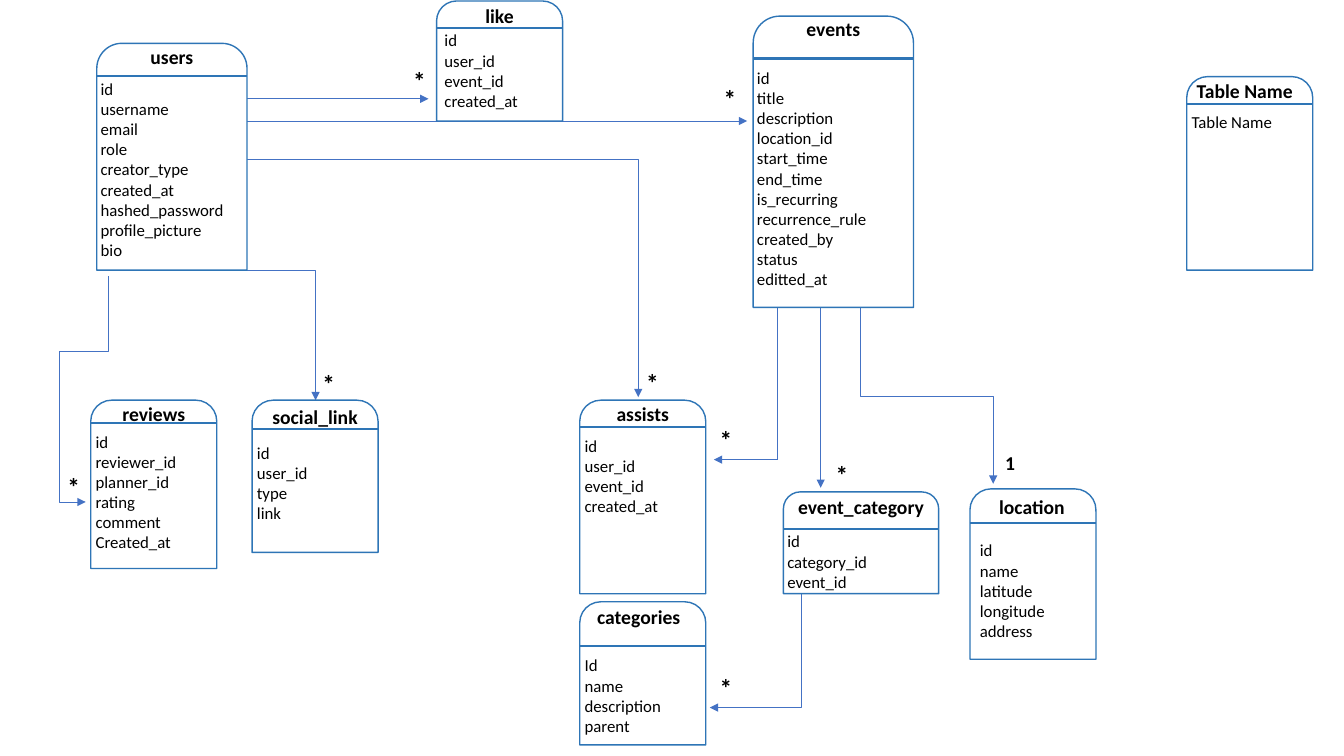
from lxml.etree import SubElement
from pptx import Presentation
from pptx.dml.color import RGBColor
from pptx.enum.shapes import MSO_CONNECTOR, MSO_SHAPE
from pptx.enum.text import MSO_ANCHOR, MSO_AUTO_SIZE, PP_ALIGN
from pptx.oxml.ns import qn
from pptx.util import Emu, Pt

# title, frame, title place, rule y, body place, fields
TABLES = [
    ("users", (96, 43, 149, 225), (96, 40), 75, (90, 73),
     "id username email role creator_type created_at hashed_password profile_picture bio"),
    ("reviews", (90, 397, 125, 167), (90, 394), 420, (85, 423),
     "id reviewer_id planner_id rating comment Created_at"),
    ("social_link", (250, 397, 125, 151), (250, 397), 426, (245, 434),
     "id user_id type link"),
    ("events", (747, 16, 159, 289), (747, 12), 58, (741, 62),
     "id title description location_id start_time end_time is_recurring "
     "recurrence_rule created_by status editted_at"),
    ("assists", (575, 397, 125, 192), (575, 394), 424, (570, 427),
     "id user_id event_id created_at"),
    ("categories", (575, 597, 125, 142), (571, 595), 641, (570, 645),
     "Id name description parent"),
    ("event_category", (777, 488, 154, 101), (777, 486), 525, (771, 522),
     "id category_id event_id"),
    ("location", (962, 485, 125, 169), (961, 486), 519, (962, 531),
     "id name latitude longitude address"),
    ("like", (433, 1, 125, 119), (433, -1), 28, (431, 25),
     "id user_id event_id created_at"),
]
STARS = [(57, 463), (310, 361), (708, 78), (704, 416), (631, 359),
         (819, 451), (704, 662), (400, 60)]


def px(n):
    return Emu(round(n * 9144))


def color(text):
    return RGBColor.from_string(text)


class Diagram:
    font, ink, paper = "Calibri", "000000", "FFFFFF"
    edge, link = "2E75B6", "4472C4"

    def __init__(self, slide):
        self.shapes = slide.shapes

    def text(self, lines, x, y, w, h, size, bold=False, align=PP_ALIGN.LEFT, wrap=True):
        frame = self.shapes.add_textbox(*map(px, (x, y, w, h))).text_frame
        frame.word_wrap = wrap
        frame.auto_size = MSO_AUTO_SIZE.SHAPE_TO_FIT_TEXT
        frame.vertical_anchor = MSO_ANCHOR.TOP
        for i, line in enumerate(lines):
            para = frame.add_paragraph() if i else frame.paragraphs[0]
            para.alignment = align
            run = para.add_run()
            run.text = line
            run.font.name, run.font.size, run.font.bold = self.font, Pt(size), bold
            run.font.color.rgb = color(self.ink)

    def line(self, start, end, tint, width, arrow=False, kind=MSO_CONNECTOR.STRAIGHT):
        wire = self.shapes.add_connector(kind, *map(px, start + end))
        wire.line.color.rgb = color(tint)
        wire.line.width = Pt(width)
        if arrow:
            SubElement(wire.line._get_or_add_ln(), qn("a:tailEnd"), type="triangle")
        SubElement(wire._element.spPr, qn("a:effectLst"))
        return wire

    def arrow(self, start, end):
        self.line(start, end, self.link, 0.5, True)

    def elbow(self, start, end, bends, down=False, adjust=()):
        """Draw a bent arrow; with down it leaves its start vertically."""
        turn = 0
        if down:
            (x1, y1), (x2, y2) = start, end
            side = 1 if x1 > x2 else -1
            turn = 90 if side == 1 else 270
            mid_x, mid_y = (x1 + x2) / 2, (y1 + y2) / 2
            dx, dy = side * (x1 - mid_x), side * (y1 - mid_y)
            start, end = (mid_x + dy, mid_y - dx), (mid_x - dy, mid_y + dx)
        wire = self.line(start, end, self.link, 0.5, True, MSO_CONNECTOR.ELBOW)
        props = wire._element.spPr
        if turn:
            props.find(qn("a:xfrm")).set("rot", str(turn * 60000))
        shape = props.find(qn("a:prstGeom"))
        shape.set("prst", f"bentConnector{bends + 1}")
        guides = shape.find(qn("a:avLst"))
        for i, value in enumerate(adjust, 1):
            SubElement(guides, qn("a:gd"), name=f"adj{i}", fmla=f"val {value}")

    def star(self, x, y):
        self.text(["*"], x, y, 33, 40, 18, True, wrap=False)

    def table(self, name, frame, head, rule, body, fields, align=PP_ALIGN.CENTER):
        x, y, w, h = frame
        outer = self.shapes
        self.shapes = outer.add_group_shape().shapes
        box = self.shapes.add_shape(MSO_SHAPE.ROUND_2_SAME_RECTANGLE, *map(px, frame))
        box.shadow.inherit = False
        box.fill.solid()
        box.fill.fore_color.rgb = color(self.paper)
        box.line.color.rgb = color(self.edge)
        box.line.width = Pt(1)
        self.text([name], *head, w, 34, 14, True, align)
        self.line((x, rule), (x + w, rule), self.edge, 1.5)
        self.text(fields, *body, w + 5, 20 * len(fields) + 10, 12)
        self.shapes = outer


def main():
    deck = Presentation()
    deck.slide_width, deck.slide_height = px(1333), px(750)
    art = Diagram(deck.slides.add_slide(deck.slide_layouts[6]))

    # users
    art.arrow((245, 98), (425, 98))
    art.arrow((245, 120), (741, 120))
    art.elbow((245, 158), (633, 394), 1)
    art.elbow((129, 268), (313, 397), 1)
    art.elbow((107, 274), (85, 498), 3, down=True, adjust=(33200, 216900))
    # events
    art.line((771, 456), (771, 306), art.link, 0.5)
    art.arrow((771, 456), (708, 456))
    art.arrow((814, 306), (814, 484))
    art.elbow((853, 306), (985, 480), 2, down=True)
    # event_category
    art.elbow((885, 589), (704, 702), 2)

    for name, frame, head, rule, body, fields in TABLES:
        art.table(name, frame, head, rule, body, fields.split())
    art.table("Table Name", (1177, 76, 125, 192), (1177, 73), 103, (1172, 106),
              ["Table Name"], PP_ALIGN.LEFT)
    for spot in STARS:
        art.star(*spot)
    art.text(["1"], 987, 442, 30, 34, 14, True, wrap=False)
    deck.save("out.pptx")


if __name__ == "__main__":
    main()
